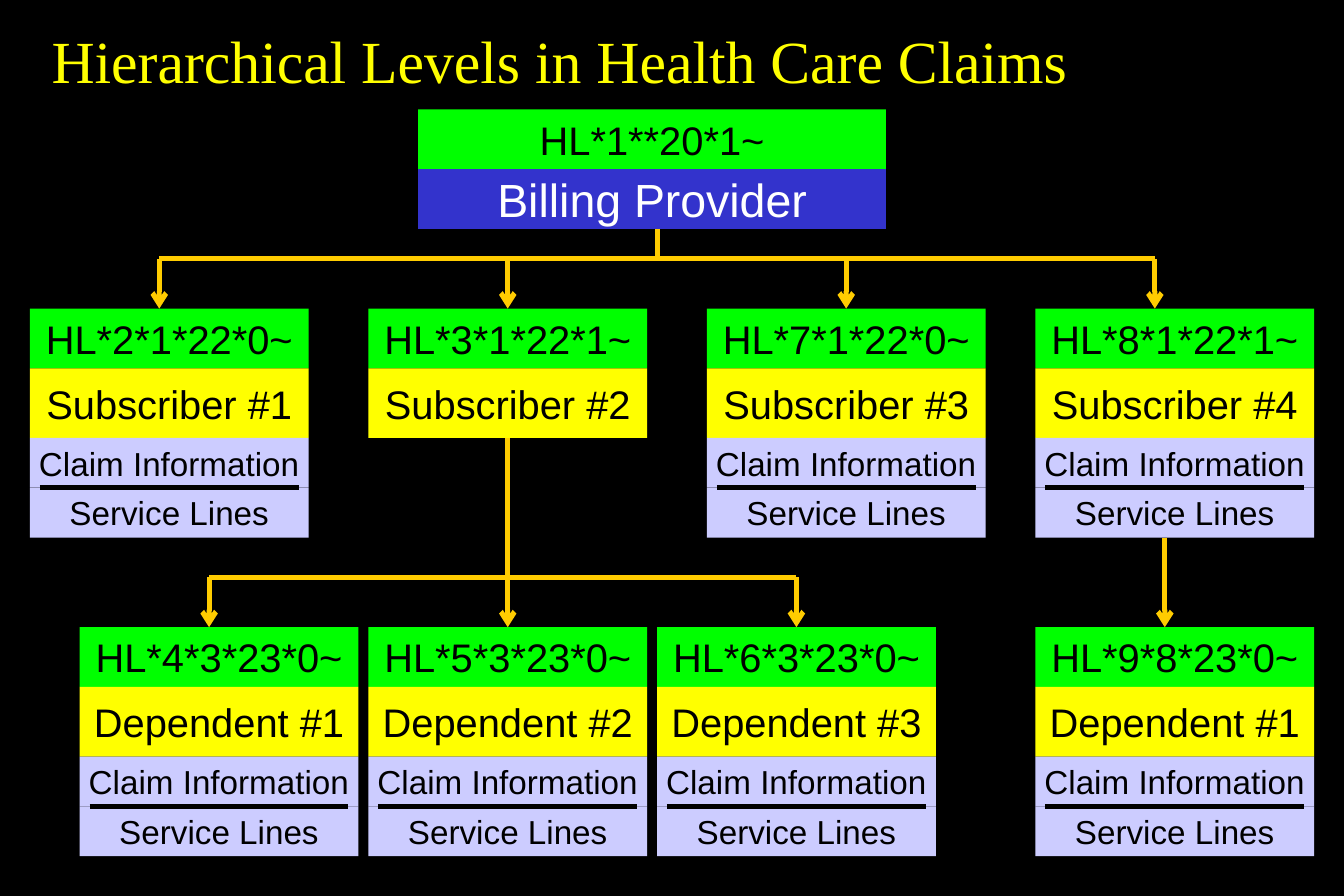
from pptx import Presentation
from pptx.dml.color import RGBColor
from pptx.enum import shapes, text
from pptx.oxml import ns, xmlchemy
from pptx.util import Pt

# Content: (left, segment, name, has claim)
TITLE = "Hierarchical Levels in Health Care Claims"
PROVIDER = ("HL*1**20*1~", "Billing Provider")
SUBSCRIBERS = [
    (18, "HL*2*1*22*0~", "Subscriber #1", True),
    (222, "HL*3*1*22*1~", "Subscriber #2", False),
    (426, "HL*7*1*22*0~", "Subscriber #3", True),
    (624, "HL*8*1*22*1~", "Subscriber #4", True),
]
DEPENDENTS = [
    (48, "HL*4*3*23*0~", "Dependent #1", True),
    (222, "HL*5*3*23*0~", "Dependent #2", True),
    (396, "HL*6*3*23*0~", "Dependent #3", True),
    (624, "HL*9*8*23*0~", "Dependent #1", True),
]
CLAIM_ROWS = ("Claim Information", "Service Lines")

# Layout in points
PROVIDER_LEFT, PROVIDER_TOP, PROVIDER_WIDTH = 252, 66, 282
CARD_WIDTH, SEGMENT_HEIGHT, NAME_HEIGHT, CLAIM_HEIGHT = 168, 36, 42, 30
SUBSCRIBER_TOP, DEPENDENT_TOP = 186, 378
SUBSCRIBER_ARROWS, SUBSCRIBER_BUS = (96, 306, 510, 696), 156
DEPENDENT_ARROWS, DEPENDENT_BUS = (126, 306, 480), 348

BLACK, WHITE, YELLOW = "000000", "FFFFFF", "FFFF00"
GREEN, BLUE, LILAC, GOLD = "00FF00", "3333CC", "CCCCFF", "FFCC00"


def paint(color_format, value):
    color_format.rgb = RGBColor.from_string(value)


def write(box, words, size, color, font="Arial"):
    frame = box.text_frame
    frame.text = words
    frame.vertical_anchor = text.MSO_ANCHOR.MIDDLE
    para = frame.paragraphs[0]
    span = para.runs[0]
    span.font.size, span.font.name = Pt(size), font
    paint(span.font.color, color)
    return para


def add_band(left, top, width, height, words, fill, size=24, color=BLACK):
    box = page.shapes.add_shape(
        shapes.MSO_SHAPE.RECTANGLE, Pt(left), Pt(top), Pt(width), Pt(height))
    box.shadow.inherit = False
    box.fill.solid()
    paint(box.fill.fore_color, fill)
    box.line.fill.background()
    write(box, words, size, color).alignment = text.PP_ALIGN.CENTER
    box.text_frame.word_wrap = False
    return box


def add_segment(left, top, width, words):
    box = add_band(left, top, width, SEGMENT_HEIGHT, words, GREEN)
    box.text_frame.vertical_anchor = text.MSO_ANCHOR.TOP


def add_line(x1, y1, x2, y2, color=GOLD, arrow=False):
    line = page.shapes.add_connector(
        shapes.MSO_CONNECTOR.STRAIGHT, Pt(x1), Pt(y1), Pt(x2), Pt(y2))
    line.line.width = Pt(3)
    paint(line.line.color, color)
    if arrow:
        head = xmlchemy.OxmlElement("a:tailEnd")
        head.set("type", "arrow")
        line.line._get_or_add_ln().append(head)
    line._element.spPr.append(xmlchemy.OxmlElement("a:effectLst"))


def add_card(left, top, segment, name, has_claim):
    add_segment(left, top, CARD_WIDTH, segment)
    name_top = top + SEGMENT_HEIGHT
    add_band(left, name_top, CARD_WIDTH, NAME_HEIGHT, name, YELLOW)
    if has_claim:
        claim_top = name_top + NAME_HEIGHT
        for row, words in enumerate(CLAIM_ROWS):
            add_band(left, claim_top + row * CLAIM_HEIGHT, CARD_WIDTH,
                     CLAIM_HEIGHT, words, LILAC, size=20)
        middle = claim_top + CLAIM_HEIGHT
        add_line(left + 6, middle, left + CARD_WIDTH - 6, middle, BLACK)


def add_branches(trunk_x, trunk_top, bus_y, arrows, bottom):
    add_line(trunk_x, trunk_top, trunk_x, bus_y)
    add_line(arrows[0], bus_y, arrows[-1], bus_y)
    for x in arrows:
        add_line(x, bus_y, x, bottom, arrow=True)


# Page
deck = Presentation()
deck.slide_width, deck.slide_height = Pt(810), Pt(540)
page = deck.slides.add_slide(deck.slide_layouts[6])
page.background.fill.solid()
paint(page.background.fill.fore_color, BLACK)

# Title
title = page.shapes.add_textbox(Pt(24), Pt(12), Pt(742), Pt(48))
title.text_frame.word_wrap = True
write(title, TITLE, 36, YELLOW, "Times New Roman")

# Provider
segment, name = PROVIDER
name_top = PROVIDER_TOP + SEGMENT_HEIGHT
add_segment(PROVIDER_LEFT, PROVIDER_TOP, PROVIDER_WIDTH, segment)
add_band(PROVIDER_LEFT, name_top, PROVIDER_WIDTH, SEGMENT_HEIGHT,
         name, BLUE, size=28, color=WHITE)

# Subscribers and dependents
for cards, top in ((SUBSCRIBERS, SUBSCRIBER_TOP), (DEPENDENTS, DEPENDENT_TOP)):
    for left, segment, name, has_claim in cards:
        add_card(left, top, segment, name, has_claim)

# Branch lines
subscriber_bottom = SUBSCRIBER_TOP + SEGMENT_HEIGHT + NAME_HEIGHT
add_branches(396, name_top + SEGMENT_HEIGHT, SUBSCRIBER_BUS,
             SUBSCRIBER_ARROWS, SUBSCRIBER_TOP)
add_branches(306, subscriber_bottom, DEPENDENT_BUS,
             DEPENDENT_ARROWS, DEPENDENT_TOP)
add_line(702, subscriber_bottom + 2 * CLAIM_HEIGHT, 702, DEPENDENT_TOP, arrow=True)

deck.save("out.pptx")
